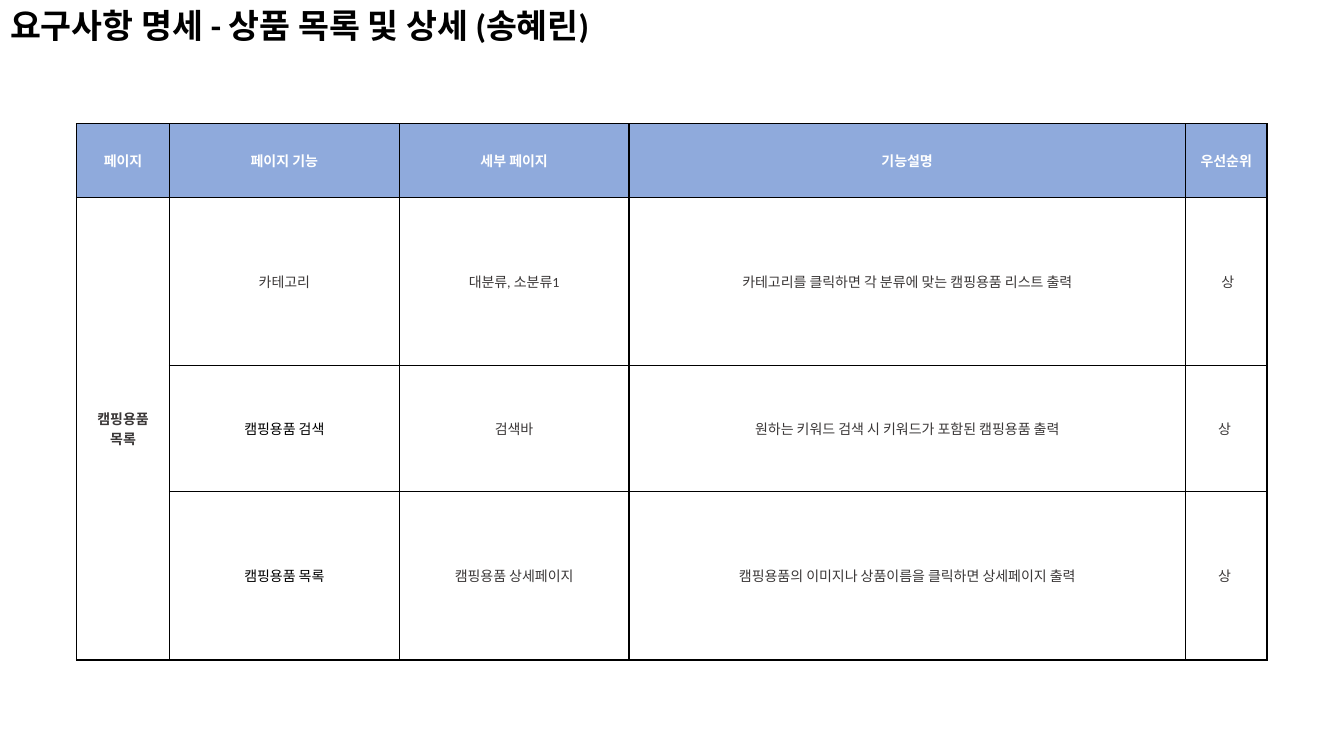
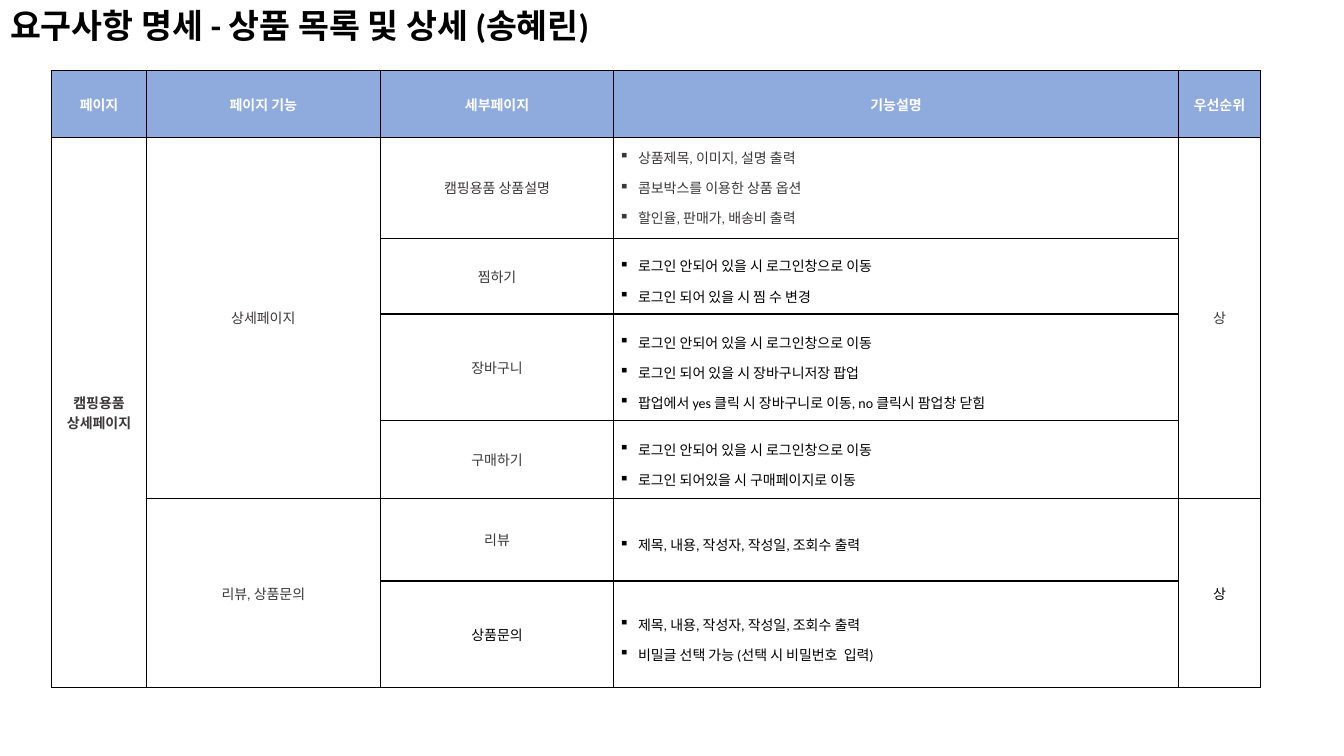
import pptx
import pptx.util
import pptx.dml.color
import pptx.enum.text
import pptx.oxml
import pptx.oxml.ns

Cm, Pt = pptx.util.Cm, pptx.util.Pt
RGB = pptx.dml.color.RGBColor
Align = pptx.enum.text.PP_ALIGN
Anchor = pptx.enum.text.MSO_ANCHOR

BLUE = RGB(0x8F, 0xAA, 0xDC)
WHITE = RGB(0xFF, 0xFF, 0xFF)
GRAY = RGB(0x3B, 0x38, 0x38)
BLACK = RGB(0, 0, 0)
FONT = "Calibri"
TITLE = "요구사항 명세 - 상품 목록 및 상세 (송혜린)"
LOGIN = "로그인 안되어 있을 시 로그인창으로 이동"
POST = "제목, 내용, 작성자, 작성일, 조회수 출력"

# A list is a bulleted cell; None continues the cell above.
# "black" holds (row, column) of the cells with black text, "top" those set at the top.
TABLES = [
    {
        "at": (1.93, 3.12),
        "cols": (2.34, 5.79, 5.79, 14.02, 2.06),
        "heights": (1.85, 4.24, 3.18, 4.24),
        "black": {(2, 1), (3, 1)},
        "top": set(),
        "rows": [
            ("페이지", "페이지 기능", "세부 페이지", "기능설명", "우선순위"),
            ("캠핑용품\n목록", "카테고리", "대분류, 소분류1",
             "카테고리를 클릭하면 각 분류에 맞는 캠핑용품 리스트 출력", " 상"),
            (None, "캠핑용품 검색", "검색바",
             "원하는 키워드 검색 시 키워드가 포함된 캠핑용품 출력", "상 "),
            (None, "캠핑용품 목록", "캠핑용품 상세페이지",
             "캠핑용품의 이미지나 상품이름을 클릭하면 상세페이지 출력", "상 "),
        ],
    },
    {
        "at": (1.3, 1.78),
        "cols": (2.39, 5.89, 5.89, 14.22, 2.08),
        "heights": (1.68, 2.54, 1.91, 2.69, 1.96, 2.08, 2.69),
        "black": {(2, 3), (3, 3), (4, 3), (5, 3), (6, 3), (5, 4), (6, 2)},
        "top": {(1, 3)},
        "rows": [
            ("페이지", "페이지 기능", "세부페이지", "기능설명", "우선순위"),
            ("캠핑용품\n상세페이지", "상세페이지", "캠핑용품 상품설명",
             ["상품제목, 이미지, 설명 출력", "콤보박스를 이용한 상품 옵션",
              "할인율, 판매가, 배송비 출력"], "상"),
            (None, None, "찜하기", [LOGIN, "로그인 되어 있을 시 찜 수 변경"], None),
            (None, None, "장바구니",
             [LOGIN, "로그인 되어 있을 시 장바구니저장 팝업",
              "팝업에서 yes 클릭 시 장바구니로 이동, no 클릭시 팜업창 닫힘"], None),
            (None, None, "구매하기", [LOGIN, "로그인 되어있을 시 구매페이지로 이동"], None),
            (None, "리뷰, 상품문의", "리뷰", [POST], "상"),
            (None, None, "상품문의",
             [POST, "비밀글 선택 가능 (선택 시 비밀번호  입력)"], None),
        ],
    },
]


def style(para, size, color, bold):
    font = para.font
    font.name, font.size, font.bold = FONT, Pt(size), bold
    font.color.rgb = color


def border(cell):
    props = cell._tc.get_or_add_tcPr()
    for i, side in enumerate("LRTB"):
        props.insert(i, pptx.oxml.parse_xml(
            f'<a:ln{side} {pptx.oxml.ns.nsdecls("a")} w="{Pt(1)}">'
            f'<a:solidFill><a:srgbClr val="{BLACK}"/></a:solidFill></a:ln{side}>'))


def bullet(para):
    para.line_spacing = 1.5
    props = para._p.get_or_add_pPr()
    props.set("marL", str(Cm(0.48)))
    props.set("indent", str(-Cm(0.48)))
    props.append(pptx.oxml.parse_xml(
        f'<a:buChar {pptx.oxml.ns.nsdecls("a")} char="▪"/>'))


def write(cell, text, color, bold):
    listed = isinstance(text, list)
    cell.text = "\n".join(text) if listed else text
    for para in cell.text_frame.paragraphs:
        if listed:
            bullet(para)
        else:
            para.alignment = Align.CENTER
        style(para, 10, color, bold)


def add_title(slide):
    title = slide.shapes.title
    title.left, title.top, title.width, title.height = 0, 0, Cm(21.95), Cm(1.27)
    frame = title.text_frame
    frame.text = TITLE
    frame.word_wrap = True
    frame.vertical_anchor = Anchor.TOP
    frame.auto_size = pptx.enum.text.MSO_AUTO_SIZE.SHAPE_TO_FIT_TEXT
    para = frame.paragraphs[0]
    para.alignment = Align.LEFT
    style(para, 24, BLACK, True)


def add_grid(slide, data):
    rows, cols, highs = data["rows"], data["cols"], data["heights"]
    left, top = data["at"]
    grid = slide.shapes.add_table(len(rows), len(cols), Cm(left), Cm(top),
                                  Cm(sum(cols)), Cm(sum(highs))).table
    grid.first_row = grid.horz_banding = False
    for col, width in zip(grid.columns, cols):
        col.width = Cm(width)
    for row, high in zip(grid.rows, highs):
        row.height = Cm(high)
    for r, row in enumerate(rows):
        for c, text in enumerate(row):
            cell = grid.cell(r, c)
            cell.margin_left = cell.margin_right = Cm(0.13)
            cell.margin_top = cell.margin_bottom = 0
            cell.vertical_anchor = Anchor.TOP if (r, c) in data["top"] else Anchor.MIDDLE
            cell.fill.solid()
            cell.fill.fore_color.rgb = WHITE if r else BLUE
            border(cell)
            if text is None:
                continue
            color = BLACK if (r, c) in data["black"] else GRAY
            write(cell, text, color if r else WHITE, r == 0 or c == 0)
            end = r
            while end + 1 < len(rows) and rows[end + 1][c] is None:
                end += 1
            if end > r:
                cell.merge(grid.cell(end, c))


def main():
    deck = pptx.Presentation()
    deck.slide_width, deck.slide_height = Cm(33.87), Cm(19.05)
    for data in TABLES:
        slide = deck.slides.add_slide(deck.slide_layouts[5])
        add_title(slide)
        add_grid(slide, data)
    deck.save("out.pptx")


if __name__ == "__main__":
    main()
